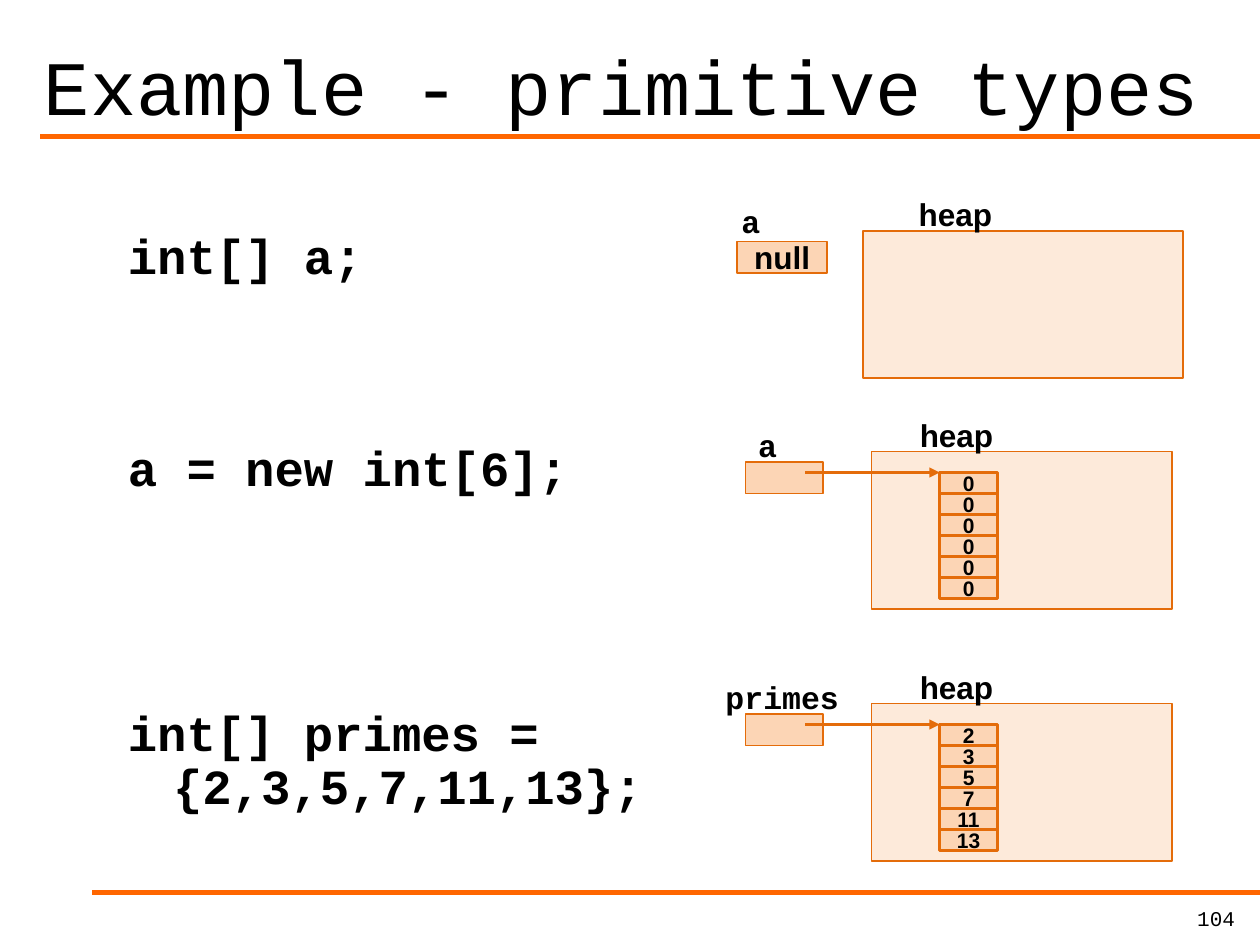
import dataclasses

import pptx
import pptx.dml.color
import pptx.enum.shapes
import pptx.enum.text
import pptx.oxml
import pptx.oxml.ns
import pptx.util

UNIT = 1 / 12
BLACK, RULE, EDGE, BOX, HEAP = "000000", "FF6600", "E46C0A", "FCD5B5", "FDEADA"
MONO, SANS = "Courier New", "Arial"
ALIGN = pptx.enum.text.PP_ALIGN
ANCHOR = pptx.enum.text.MSO_ANCHOR


@dataclasses.dataclass
class Area:
    """A rectangle in columns and rows of the grid."""
    col: float
    row: float
    cols: float
    rows: float


@dataclasses.dataclass
class Memory:
    """A variable, its heap and the array it refers to."""
    name: str
    name_area: Area
    variable: Area
    heap: Area
    heap_label: Area
    value: str = ""
    items: tuple = ()


def grid(n: float) -> int:
    """Convert grid units to a length."""
    return pptx.util.Inches(n * UNIT)


def place(area: Area) -> tuple:
    """Return left, top, width and height of an area."""
    return tuple(grid(n) for n in dataclasses.astuple(area))


def rgb(color: str) -> pptx.dml.color.RGBColor:
    """Convert a hex string to a colour."""
    return pptx.dml.color.RGBColor.from_string(color)


def style(tf, size: float, font: str, bold: bool, align) -> None:
    """Format every run of a text frame."""
    for p in tf.paragraphs:
        p.alignment = align
        for r in p.runs:
            r.font.size = pptx.util.Pt(size)
            r.font.name = font
            r.font.bold = bold
            r.font.color.rgb = rgb(color=BLACK)


def add_text(s, area: Area, text: str, size: float, font: str, bold: bool = False,
             align=ALIGN.LEFT, anchor=ANCHOR.TOP, wrap: bool = True):
    """Add a text box and return its text frame."""
    tf = s.shapes.add_textbox(*place(area)).text_frame
    tf.text = text
    tf.word_wrap = wrap
    tf.vertical_anchor = anchor
    style(tf, size, font, bold, align)
    return tf


def add_label(s, area: Area, text: str, font: str) -> None:
    """Add a bold centred label."""
    add_text(s, area, text, 18, font, True, ALIGN.CENTER, wrap=False)


def add_box(s, area: Area, fill: str, text: str = "", size: float = 12, width: float = 1) -> None:
    """Add an outlined rectangle with optional text."""
    sp = s.shapes.add_shape(pptx.enum.shapes.MSO_SHAPE.RECTANGLE, *place(area))
    sp.shadow.inherit = False
    sp.fill.solid()
    sp.fill.fore_color.rgb = rgb(fill)
    sp.line.color.rgb = rgb(EDGE)
    sp.line.width = pptx.util.Pt(width)
    if text:
        tf = sp.text_frame
        tf.text = text
        tf.word_wrap = False
        tf.vertical_anchor = ANCHOR.MIDDLE
        style(tf, size, SANS, True, ALIGN.CENTER)


def add_line(s, start: tuple, end: tuple, color: str, width: float, arrow: bool = False) -> None:
    """Add a straight line between two grid points."""
    straight = pptx.enum.shapes.MSO_CONNECTOR.STRAIGHT
    sp = s.shapes.add_connector(straight, *map(grid, start + end))
    sp.line.color.rgb = rgb(color)
    sp.line.width = pptx.util.Pt(width)
    if arrow:
        head = pptx.oxml.parse_xml(f'<a:tailEnd {pptx.oxml.ns.nsdecls("a")} type="triangle"/>')
        sp.line._get_or_add_ln().append(head)
    sp._element.spPr.append(pptx.oxml.parse_xml(f'<a:effectLst {pptx.oxml.ns.nsdecls("a")}/>'))


def add_code(s) -> None:
    """Add the three statements, spaced in whole lines."""
    pitch = 30.25
    statements = ("int[] a;", "a = new int[6];", "int[] primes = {2,3,5,7,11,13};")
    tf = add_text(s, Area(11, 21, 71, 61), "\n".join(statements), 28, MONO, True)
    tf.margin_top = pptx.util.Inches(0.09)
    for p, gap in zip(tf.paragraphs, (0, 3, 4)):
        p.line_spacing = pptx.util.Pt(pitch)
        p.space_before = pptx.util.Pt(gap * pitch)
        p._p.get_or_add_pPr().set("marL", str(pptx.util.Inches(0.36)))
        p._p.get_or_add_pPr().set("indent", str(-pptx.util.Inches(0.36)))


def add_memory(s, memory: Memory) -> None:
    """Draw a variable and its heap, with the array if there is one."""
    add_box(s, memory.variable, BOX, memory.value, 18)
    add_box(s, memory.heap, HEAP)
    add_label(s, memory.name_area, memory.name, MONO)
    add_label(s, memory.heap_label, "heap", SANS)
    if memory.items:
        col, row = memory.heap.col + 6.5, memory.heap.row + 2
        add_line(s, (col - 12.8, row), (col, row), EDGE, 1.5, True)
        for i, item in reversed(list(enumerate(memory.items))):
            add_box(s, Area(col, row + 2 * i, 5.5, 2), BOX, item, 12, 1.5)


def array_memory(name: str, name_area: Area, row: float, items: tuple) -> Memory:
    """Describe a variable that refers to an array on the heap."""
    return Memory(name, name_area, Area(71, row + 1, 7.4, 3), Area(83, row, 28.6, 15),
                  Area(86.4, row - 4, 9.4, 4.8), items=items)


def main() -> None:
    """Build the slide."""
    prs = pptx.Presentation()
    prs.slide_width, prs.slide_height = grid(120), grid(90)
    s = prs.slides.add_slide(prs.slide_layouts[6])
    for col, row in ((3.8, 13), (8.8, 85)):
        add_line(s, (120.2, row), (col, row), RULE, 3)
    add_text(s, Area(94, 85.7, 24.8, 3.6), "104", 12, MONO, align=ALIGN.RIGHT)
    add_text(s, Area(3, 0, 113, 13.1), "Example - primitive types", 44, MONO, anchor=ANCHOR.BOTTOM)
    add_code(s)
    memories = (
        Memory("a", Area(69.4, 18.7, 4.2, 4.8), Area(70.2, 23, 8.6, 3),
               Area(82.2, 22, 30.5, 14), Area(86.3, 18, 9.4, 4.8), "null"),
        array_memory("a", Area(71, 40, 4.2, 4.8), 43, ("0",) * 6),
        array_memory("primes", Area(67.9, 64, 13.2, 4.8), 67, ("2", "3", "5", "7", "11", "13")),
    )
    for memory in memories:
        add_memory(s, memory)
    prs.save("out.pptx")


if __name__ == "__main__":
    main()
